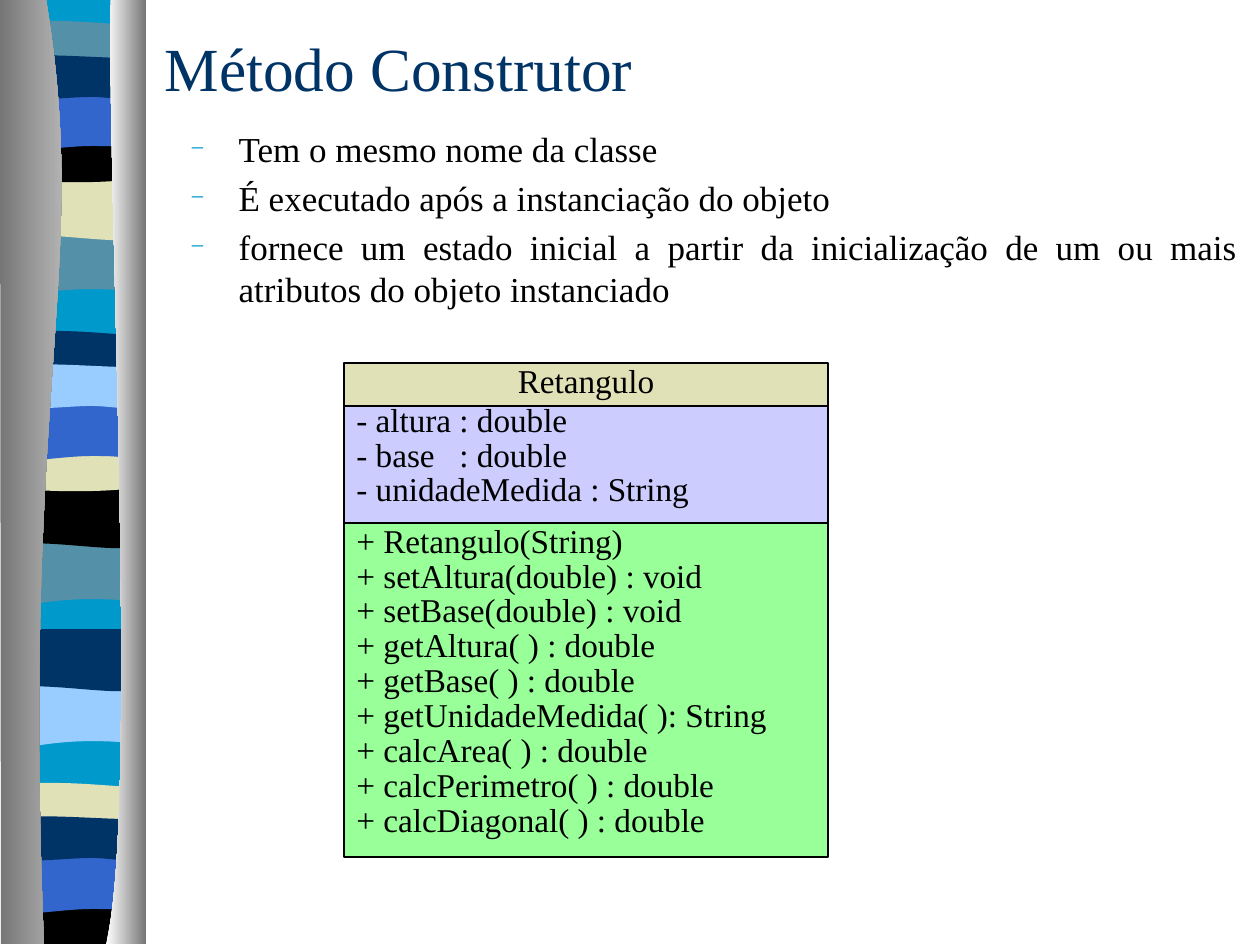
from typing import NamedTuple

from lxml.etree import SubElement
from pptx import Presentation
from pptx.dml.color import RGBColor
from pptx.enum.shapes import MSO_SHAPE as Preset
from pptx.enum.text import MSO_ANCHOR as Anchor, MSO_AUTO_SIZE as AutoSize, PP_ALIGN as Align
from pptx.oxml.ns import qn
from pptx.util import Pt

PIXEL = 914400 / 126
FONT = "Times New Roman"
COLORS = {
    "teal": "0099CC", "steel": "5490A8", "navy": "003366", "blue": "3366CC",
    "black": "000000", "sand": "E1E1B7", "sky": "99CCFF", "gray": "767676",
    "silver": "D0D0D0", "white": "FFFFFF", "lilac": "CCCCFF", "green": "99FF99",
}


class Box(NamedTuple):
    left: int
    top: int
    width: int
    height: int


class Band(NamedTuple):
    wave: str
    top: int
    color: str


class Panel(NamedTuple):
    outline: tuple
    stops: tuple


class Compartment(NamedTuple):
    box: Box
    color: str
    align: Align
    lines: tuple


WAVES = {
    "plain": ((143, 0), (143, 941), (6, 941), (6, 0)),
    "swing": ((143, 0), (143, 59), (49, 49, 30, 69, 6, 59), (6, 0)),
    "sag": ((143, 0), (143, 59), (121, 69, 49, 52, 7, 59), (7, 0)),
    "crest": ((143, 0), (143, 30), (121, 36, 30, 36, 6, 30), (6, 0),
              (15, -6, 37, -5, 59, -5), (82, -5, 126, -1, 143, 0)),
    "bowl": ((143, 0), (143, 41), (121, 48, 30, 48, 7, 41), (7, 0),
             (91, 6, 115, 0, 143, 0)),
    "arch": ((143, 0), (143, 59), (122, 53, 113, 53, 91, 53),
             (68, 53, 28, 59, 7, 59), (7, 0)),
    "ripple": ((143, 0), (143, 39), (135, 45, 113, 39, 91, 39),
               (68, 39, 21, 45, 6, 39), (6, 0), (26, -6, 100, 0, 122, 0),
               (145, 0, 139, 0, 143, 0)),
    "foot": ((143, 0), (143, 47), (7, 47), (6, 0), (91, 6, 115, 0, 143, 0)),
}
BANDS = (
    Band("plain", 0, "teal"),
    Band("swing", 233, "steel"), Band("sag", 178, "sand"), Band("crest", 26, "steel"),
    Band("bowl", 136, "black"), Band("arch", 93, "blue"), Band("ripple", 58, "navy"),
    Band("swing", 543, "steel"), Band("sag", 486, "black"), Band("crest", 336, "navy"),
    Band("bowl", 445, "sand"), Band("arch", 403, "blue"), Band("ripple", 367, "sky"),
    Band("swing", 685, "sky"), Band("sag", 629, "navy"), Band("crest", 788, "sand"),
    Band("foot", 897, "black"), Band("arch", 856, "blue"), Band("ripple", 819, "navy"),
)
PANELS = (
    Panel(((46, -1), (91, 272, 21, 373, 44, 944), (1, 944), (0, -1)), ("gray", "silver")),
    Panel(((111, -1), (106, 158, 140, 814, 106, 944), (146, 944), (146, 0)),
          ("white", "gray")),
)
COMPARTMENTS = (
    Compartment(Box(344, 402, 484, 195), "lilac", Align.LEFT,
                ("- altura : double", "- base\t: double", "- unidadeMedida : String")),
    Compartment(Box(344, 363, 484, 43), "sand", Align.CENTER, ("Retangulo",)),
    Compartment(Box(344, 523, 484, 334), "green", Align.LEFT,
                ("+ Retangulo(String)", "+ setAltura(double) : void",
                 "+ setBase(double) : void", "+ getAltura( ) : double",
                 "+ getBase( ) : double", "+ getUnidadeMedida( ): String",
                 "+ calcArea( ) : double", "+ calcPerimetro( ) : double",
                 "+ calcDiagonal( ) : double")),
)
TITLE_BOX = Box(152, 15, 1071, 105)
BODY_BOX = Box(178, 121, 1072, 756)
BODY_LINES = (
    "Tem o mesmo nome da classe",
    "É executado após a instanciação do objeto",
    "fornece um estado inicial a partir da inicialização de um ou mais "
    "atributos do objeto instanciado",
)


def emu(pixels: float) -> int:
    return round(pixels * PIXEL)


def rgb(name: str) -> RGBColor:
    return RGBColor.from_string(COLORS[name])


def apply_format(target, values: dict) -> None:
    for name, value in values.items():
        setattr(target, name, value)


def place(shape, box: Box) -> None:
    apply_format(shape, {name: emu(value) for name, value in box._asdict().items()})


def write_lines(frame, lines: tuple, size: int, color: str, layout: dict) -> None:
    for index, line in enumerate(lines):
        paragraph = frame.paragraphs[0] if index == 0 else frame.add_paragraph()
        run = paragraph.add_run()
        run.text = line
        apply_format(run.font, {"name": FONT, "size": Pt(size)})
        run.font.color.rgb = rgb(color)
        apply_format(paragraph, layout)


def add_outline(group, outline: tuple, top: int = 0):
    points = [(segment[index], top + segment[index + 1])
              for segment in outline for index in range(0, len(segment), 2)]
    builder = group.shapes.build_freeform(*points[0], scale=PIXEL)
    builder.add_line_segments(points[1:], close=True)
    shape = builder.convert_to_shape()
    shape.shadow.inherit = False
    shape.line.fill.background()
    drawing = shape._element.find(".//" + qn("a:path"))
    steps = iter(drawing.findall(qn("a:lnTo")))
    for segment in outline[1:]:
        step = next(steps)
        if len(segment) == 6:
            step.tag = qn("a:cubicBezTo")
            for extra in (next(steps), next(steps)):
                step.append(extra[0])
                drawing.remove(extra)
    return shape


def add_band(group, band: Band) -> None:
    shape = add_outline(group, WAVES[band.wave], band.top)
    shape.fill.solid()
    shape.fill.fore_color.rgb = rgb(band.color)


def add_panel(group, panel: Panel) -> None:
    shape = add_outline(group, panel.outline)
    shape.fill.gradient()
    shape.fill.gradient_angle = 0
    for stop, color in zip(shape.fill.gradient_stops, panel.stops):
        stop.color.rgb = rgb(color)


def add_bullet(paragraph) -> None:
    properties = paragraph._p.get_or_add_pPr()
    properties.set("marL", str(emu(48)))
    properties.set("indent", str(-emu(48)))
    color = SubElement(properties, qn("a:buClr"))
    SubElement(color, qn("a:srgbClr"), val=COLORS["teal"])
    SubElement(properties, qn("a:buSzPct"), val="70000")
    SubElement(properties, qn("a:buFont"), typeface=FONT)
    SubElement(properties, qn("a:buChar"), char="−")


def add_tab_stop(paragraph, pixels: int) -> None:
    tabs = SubElement(paragraph._p.get_or_add_pPr(), qn("a:tabLst"))
    SubElement(tabs, qn("a:tab"), pos=str(emu(pixels)), algn="l")


def add_compartment(group, compartment: Compartment) -> None:
    shape = group.shapes.add_shape(Preset.RECTANGLE, *map(emu, compartment.box))
    shape.shadow.inherit = False
    shape.fill.solid()
    shape.fill.fore_color.rgb = rgb(compartment.color)
    shape.line.color.rgb = rgb("black")
    shape.line.width = Pt(0.75)
    apply_format(shape.text_frame, {"word_wrap": True, "vertical_anchor": Anchor.TOP})
    write_lines(shape.text_frame, compartment.lines, 19, "black", {
        "alignment": compartment.align, "line_spacing": 0.75, "space_before": Pt(2.85)})
    for paragraph in shape.text_frame.paragraphs:
        if "\t" in paragraph.text:
            add_tab_stop(paragraph, 103)


def main() -> None:
    presentation = Presentation()
    apply_format(presentation, {"slide_width": emu(1260), "slide_height": emu(945)})
    slide = presentation.slides.add_slide(presentation.slide_layouts[1])
    title, body = slide.placeholders
    place(title, TITLE_BOX)
    place(body, BODY_BOX)
    for placeholder, anchor in ((title, Anchor.MIDDLE), (body, Anchor.TOP)):
        apply_format(placeholder.text_frame, {
            "word_wrap": True, "auto_size": AutoSize.NONE, "vertical_anchor": anchor})
    write_lines(title.text_frame, ("Método Construtor",), 35, "navy",
                {"alignment": Align.LEFT})
    write_lines(body.text_frame, BODY_LINES, 20, "black",
                {"alignment": Align.JUSTIFY, "space_before": Pt(4)})
    for paragraph in body.text_frame.paragraphs:
        add_bullet(paragraph)
    ribbon = slide.shapes.add_group_shape()
    for band in BANDS:
        add_band(ribbon, band)
    for panel in PANELS:
        add_panel(ribbon, panel)
    class_diagram = slide.shapes.add_group_shape()
    for compartment in COMPARTMENTS:
        add_compartment(class_diagram, compartment)
    presentation.save("out.pptx")


main()
